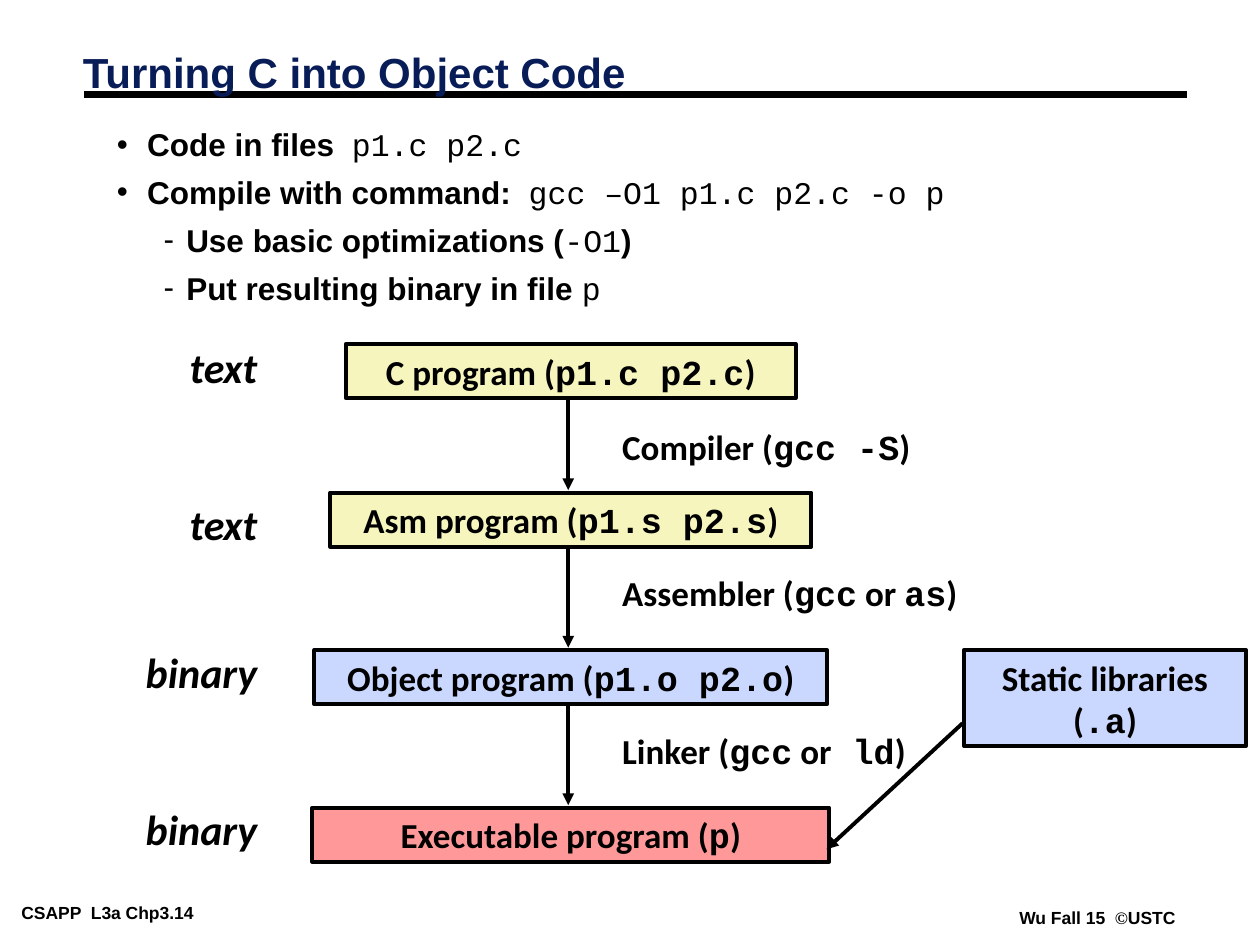
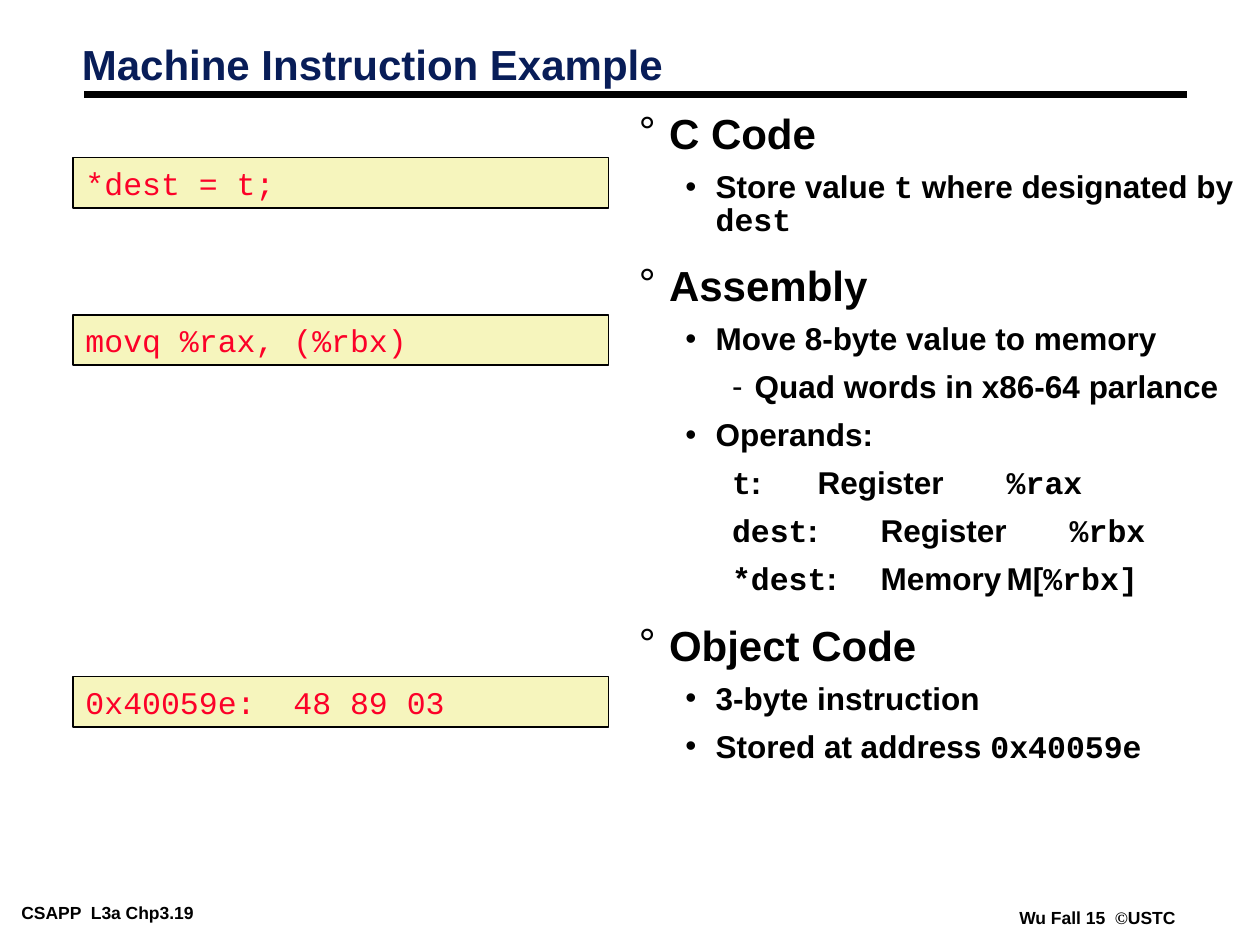
from lxml import etree
from pptx import Presentation
from pptx.dml.color import RGBColor
from pptx.enum.shapes import MSO_CONNECTOR, MSO_SHAPE
from pptx.enum.text import MSO_ANCHOR, PP_ALIGN
from pptx.oxml.ns import qn
from pptx.util import Inches, Pt

LINE, RECT = MSO_CONNECTOR.STRAIGHT, MSO_SHAPE.RECTANGLE
TOP, MIDDLE = MSO_ANCHOR.TOP, MSO_ANCHOR.MIDDLE
LEFT, CENTER, RIGHT = PP_ALIGN.LEFT, PP_ALIGN.CENTER, PP_ALIGN.RIGHT

COLORS = {"ink": "000000", "title": "081D58", "code": "FC0128",
          "cream": "F6F5BD", "blue": "CAD7FE", "red": "FF9999"}
SANS, LABEL, MONO, SERIF = "Arial", "Calibri", "Courier New", "Times New Roman"
WIDE, TIGHT = (0.1, 0.05), (0.07, 0.03)

# Content: text between backticks is set in the code font
COMPILE = [
    (1, "Code in files  `p1.c p2.c`"),
    (1, "Compile with command:  `gcc –O1 p1.c p2.c -o p`"),
    (2, "Use basic optimizations (`-O1`)"),
    (2, "Put resulting binary in file `p`"),
]
# Kind, top of kind, box text, box top, box width, fill
STAGES = [
    ("text", 2.66, "C program (`p1.c p2.c`)", 2.73, 3.57, "cream"),
    ("text", 3.91, "Asm program (`p1.s p2.s`)", 3.91, 3.82, "cream"),
    ("binary", 5.08, "Object program (`p1.o p2.o`)", 5.16, 4.07, "blue"),
    ("binary", 6.33, "Executable program (`p`)", 6.41, 4.1, "red"),
]
STEPS = [
    ("Compiler (`gcc -S`)", 3.33),
    ("Assembler (`gcc` or `as`)", 4.49),
    ("Linker (`gcc` or` ld`)", 5.74),
]
NOTES = [
    (0, "C Code"),
    (1, "Store value `t` where designated by `dest`"),
    (0, "Assembly"),
    (1, "Move 8-byte value to memory"),
    (2, "Quad words in x86-64 parlance"),
    (1, "Operands:"),
    (3, "`t`:\tRegister\t`%rax`"),
    (3, "`dest`:\tRegister\t`%rbx`"),
    (3, "`*dest`: \tMemory\tM[`%rbx]`"),
    (0, "Object Code"),
    (1, "3-byte instruction"),
    (1, "Stored at address `0x40059e`"),
]
SAMPLES = [("*dest = t;", 1.25), ("movq %rax, (%rbx)", 2.5),
           ("0x40059e:  48 89 03", 5.37)]
# Level: margin, hang, line spacing, space before, size, bullet
LEVELS = {
    0: (0.24, 0.24, 0.75, 19.5, 24, "°"),
    1: (0.61, 0.24, 0.85, 9, 18, "•"),
    2: (0.92, 0.18, 0.85, 9, 18, "-"),
    3: (0.92, 0.18, 0.85, 9, 18, None),
}


def rgb(name):
    return RGBColor.from_string(COLORS[name])


# Text
def write(para, text, size, font=SANS, color="ink", bold=True, italic=False,
          code_bold=True):
    for i, part in enumerate(text.split("`")):
        if not part:
            continue
        run = para.add_run()
        run.text = part
        code = i % 2 == 1
        face = run.font
        face.name = MONO if code else font
        face.size, face.italic = Pt(size), italic
        face.bold = code_bold if code else bold
        face.color.rgb = rgb(color)


def frame(shape, inset=WIDE, anchor=TOP, wrap=True):
    body = shape.text_frame
    body.word_wrap, body.vertical_anchor = wrap, anchor
    body.margin_left = body.margin_right = Inches(inset[0])
    body.margin_top = body.margin_bottom = Inches(inset[1])
    return body


def add_text(slide, spot, inset=WIDE, anchor=TOP, wrap=True):
    box = slide.shapes.add_textbox(*map(Inches, spot))
    return frame(box, inset, anchor, wrap)


def add_list(slide, spot, items, inset, code_bold):
    body = add_text(slide, spot, inset)
    for i, (level, text) in enumerate(items):
        para = body.paragraphs[0] if i == 0 else body.add_paragraph()
        margin, hang, lead, gap, size, mark = LEVELS[level]
        props = para._p.get_or_add_pPr()
        props.set("marL", str(Inches(margin)))
        props.set("indent", str(-Inches(hang)))
        if mark:
            etree.SubElement(props, qn("a:buFont")).set("typeface", SANS)
            etree.SubElement(props, qn("a:buChar")).set("char", mark)
        else:
            etree.SubElement(props, qn("a:buNone"))
        para.line_spacing = lead
        if i:
            para.space_before = Pt(gap)
        write(para, text, size, code_bold=code_bold)


# Shapes
def add_box(slide, spot, fill, width, align=CENTER):
    box = slide.shapes.add_shape(RECT, *map(Inches, spot))
    box.shadow.inherit = False
    box.fill.solid()
    box.fill.fore_color.rgb = rgb(fill)
    box.line.color.rgb = rgb("ink")
    box.line.width = Pt(width)
    para = frame(box).paragraphs[0]
    para.alignment = align
    return para


def add_line(slide, start, end, width, arrow=False):
    line = slide.shapes.add_connector(LINE, *map(Inches, start + end))
    line.line.color.rgb = rgb("ink")
    line.line.width = Pt(width)
    if arrow:
        stroke = line.line._get_or_add_ln()
        etree.SubElement(stroke, qn("a:tailEnd")).set("type", "triangle")
    etree.SubElement(line._element.spPr, qn("a:effectLst"))


# Shared footer, rule and title
def add_slide(deck, title, spot, number, inset, anchor):
    slide = deck.slides.add_slide(deck.slide_layouts[6])
    foot = add_text(slide, (0.1, 7.13, 2.02, 0.22), TIGHT, wrap=False)
    write(foot.paragraphs[0], f"CSAPP  L3a Chp3.{number}", 10)
    foot = add_text(slide, (8.02, 7.17, 1.38, 0.22), TIGHT, wrap=False)
    for text, font in (("Wu Fall 15  ", SANS), ("©", SERIF), ("USTC", SANS)):
        write(foot.paragraphs[0], text, 10, font)
    add_line(slide, (0.67, 0.75), (9.42, 0.75), 4.5)
    para = add_text(slide, spot, inset, anchor).paragraphs[0]
    para.line_spacing = 0.87
    write(para, title, 24, color="title")
    return slide


def build_flow(deck):
    slide = add_slide(deck, "Turning C into Object Code",
                      (0.56, 0.28, 7.65, 0.63), 14, WIDE, MIDDLE)
    add_list(slide, (0.46, 0.99, 9.09, 1.6), COMPILE, WIDE, False)
    mid, stem, high = 4.53, 4.51, 0.43

    # Stages with their file kinds
    for kind, kind_top, text, top, wide, fill in STAGES:
        para = add_text(slide, (0.85, kind_top, 1.29, 0.5)).paragraphs[0]
        para.alignment = RIGHT
        write(para, kind, 24, LABEL, italic=True)
        spot = (mid - wide / 2, top, wide, high)
        write(add_box(slide, spot, fill, 2.25), text, 20, LABEL)

    # Tools between the stages
    tops = [stage[3] for stage in STAGES]
    for (text, top), above, below in zip(STEPS, tops, tops[1:]):
        add_line(slide, (stem, above + high), (stem, below - 0.02), 2.25, True)
        para = add_text(slide, (4.84, top, 3.33, high)).paragraphs[0]
        write(para, text, 20, LABEL)

    # Libraries feeding the linker
    para = add_box(slide, (7.65, tops[2], 2.24, 0.76), "blue", 2.25)
    write(para, "Static libraries (`.a`)", 20, LABEL)
    add_line(slide, (7.64, 5.74), (6.56, 6.74), 2.25, True)


def build_sample(deck):
    slide = add_slide(deck, "Machine Instruction Example",
                      (0.58, 0.33, 7.94, 0.63), 19, TIGHT, TOP)
    add_list(slide, (5, 0.92, 5, 6.33), NOTES, TIGHT, True)
    for text, top in SAMPLES:
        para = add_box(slide, (0.58, top, 4.25, 0.4), "cream", 1, LEFT)
        write(para, text, 18, MONO, "code", bold=False)


def main():
    deck = Presentation()
    deck.slide_width, deck.slide_height = Inches(10), Inches(7.5)
    build_flow(deck)
    build_sample(deck)
    deck.save("out.pptx")


if __name__ == "__main__":
    main()
